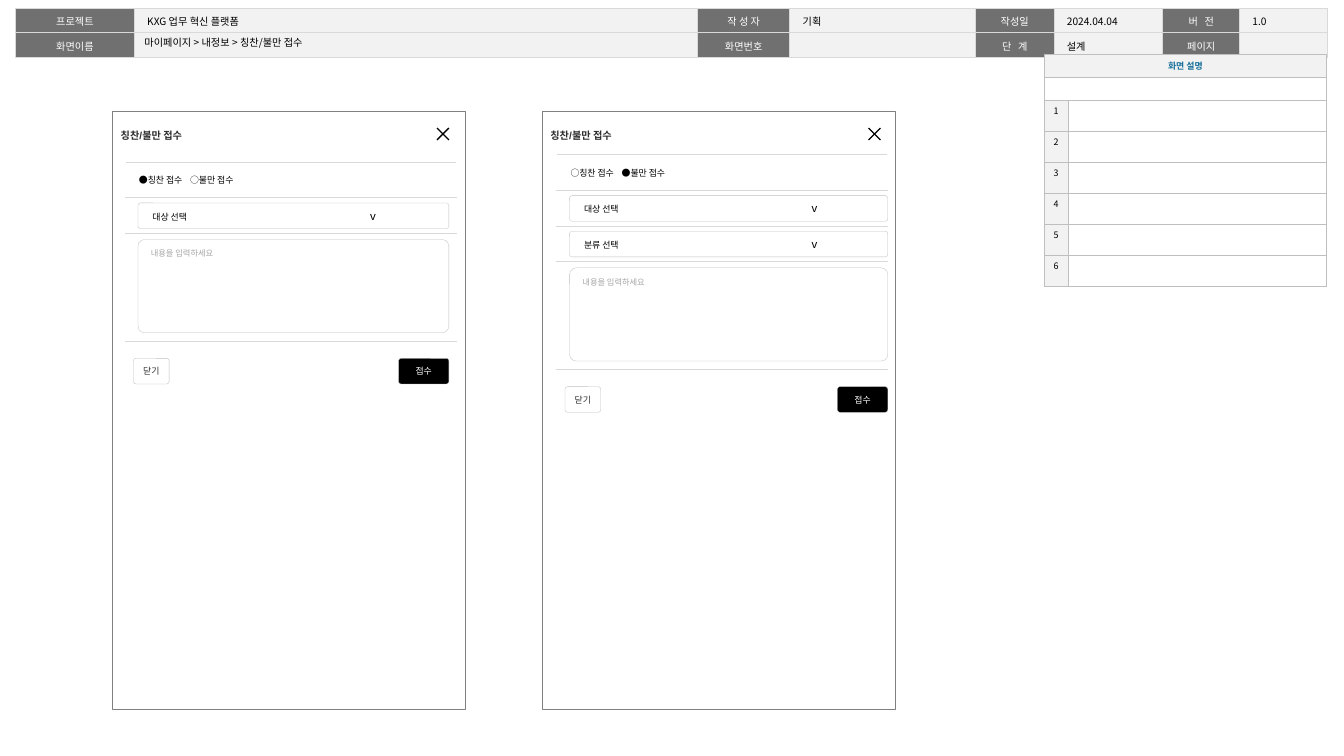
from itertools import accumulate
from lxml.etree import SubElement
from pptx import Presentation
from pptx.dml.color import RGBColor
from pptx.enum.shapes import MSO_CONNECTOR as CONN, MSO_SHAPE as SHAPE
from pptx.enum.text import MSO_ANCHOR as ANCHOR, MSO_AUTO_SIZE as AUTO, PP_ALIGN as AL
from pptx.oxml.ns import qn
from pptx.util import Inches, Pt

NOTO, ARIAL = "Noto Sans CJK KR", "Arial"
SLIDE_W, SLIDE_H = 14.7, 8.27
TITLE = "마이페이지 > 내정보 > 칭찬/불만 접수"
HEADER = [
    ["프로젝트", "KXG 업무 혁신 플랫폼", "작 성 자", "기획", "작성일", "2024.04.04", "버 전", "1.0"],
    ["화면이름", "", "화면번호", "", "단 계", "설계", "페이지", ""],
]
HEADER_COLS = [1.3, 6.16, 1.01, 2.03, 0.86, 1.19, 0.84, 0.96]
WIDE_LABELS = {"버 전", "단 계"}
NOTES_TITLE, NOTES_COUNT = "화면 설명", 6
PANEL_TITLE, HINT, CLOSE, SUBMIT = "칭찬/불만 접수", "내용을 입력하세요", "닫기", "접수"
PANELS = [
    dict(x=1.23, form=(1.37, 1.77), radio="●칭찬 접수\t○불만 접수",
         selects=["대상 선택"], field_w=3.4, arrow=2.38),
    dict(x=5.93, form=(6.09, 1.69), radio="○칭찬 접수\t●불만 접수",
         selects=["대상 선택", "분류 선택"], field_w=3.48, arrow=2.49),
]
PANEL_Y, PANEL_W, PANEL_H = 1.22, 3.86, 6.54
FORM_W, ROW_H, MEMO_ROW_H = 3.62, 0.39, 1.18
FIELD_H, MEMO_H, FIELD_DX, CROSS = 0.28, 1.02, 0.14, 0.13
GRID, EDGE = ("D9D9D9", 1), ("D9D9D9", 0.25)
NOTE_EDGE, WHITE_EDGE = ("BFBFBF", 0.25), ("FFFFFF", 1)

prs = Presentation()
prs.slide_width, prs.slide_height = Inches(SLIDE_W), Inches(SLIDE_H)
s = prs.slides.add_slide(prs.slide_layouts[5])


def rgb(code):
    return RGBColor.from_string(code)


def box(x, y, w, h):
    return [Inches(v) for v in (x, y, w, h)]


def frame(target, ins, anchor=ANCHOR.TOP):
    fmt = dict(zip(("margin_left", "margin_top", "margin_right", "margin_bottom"), map(Inches, ins)))
    for key, value in {**fmt, "vertical_anchor": anchor}.items():
        setattr(target, key, value)


def write(tf, runs, font=ARIAL, color="000000", bold=False, align=AL.LEFT, spacing=None, tab=None):
    p = tf.paragraphs[0]
    p.alignment = align
    if spacing:
        p.line_spacing = spacing
    if tab:
        tabs = SubElement(p._p.get_or_add_pPr(), qn("a:tabLst"))
        SubElement(tabs, qn("a:tab"), pos=str(Inches(tab)), algn="l")
    for text, size in runs:
        if not text:
            p._p.get_or_add_endParaRPr().set("sz", str(int(size * 100)))
            continue
        r = p.add_run()
        r.text = text
        for key, value in dict(name=font, size=Pt(size), bold=bold).items():
            setattr(r.font, key, value)
        r.font.color.rgb = rgb(color)
        SubElement(r._r.get_or_add_rPr(), qn("a:ea"), typeface=NOTO)
        if text in WIDE_LABELS:
            r._r.get_or_add_rPr().set("spc", "175")


def table(x, y, cols, rows):
    tb = s.shapes.add_table(len(rows), len(cols), *box(x, y, sum(cols), sum(rows))).table
    tb.first_row = tb.horz_banding = False
    for items, key, sizes in ((tb.columns, "width", cols), (tb.rows, "height", rows)):
        for item, size in zip(items, sizes):
            setattr(item, key, Inches(size))
    return tb


def fill_cell(cell, text, size, fill, ins, borders, anchor=ANCHOR.TOP, **style):
    frame(cell, ins, anchor)
    tcPr = cell._tc.get_or_add_tcPr()
    for side, (color, width) in zip("LRTB", borders):
        ln = SubElement(tcPr, qn(f"a:ln{side}"), w=str(Pt(width)))
        SubElement(SubElement(ln, qn("a:solidFill")), qn("a:srgbClr"), val=color)
    cell.fill.solid()
    cell.fill.fore_color.rgb = rgb(fill)
    write(cell.text_frame, [(text, size)], **style)


def shape(kind, place, line, width, fill=None, adj=None):
    sp = s.shapes.add_shape(kind, *box(*place))
    sp.shadow.inherit = False
    sp.line.color.rgb, sp.line.width = rgb(line), Pt(width)
    if fill:
        sp.fill.solid()
        sp.fill.fore_color.rgb = rgb(fill)
    else:
        sp.fill.background()
    if adj:
        sp.adjustments[0] = adj
    return sp


def field(place, runs, ins, anchor=ANCHOR.MIDDLE, fill="FFFFFF", adj=0.101, wrap=True, **style):
    tf = shape(SHAPE.ROUNDED_RECTANGLE, place, "BFBFBF", 0.25, fill, adj).text_frame
    tf.word_wrap = wrap
    frame(tf, ins, anchor)
    write(tf, runs, **style)


def cross(x, y):
    for y1, y2 in ((y, y + CROSS), (y + CROSS, y)):
        c = s.shapes.add_connector(CONN.STRAIGHT, *box(x, y1, x + CROSS, y2))
        c.line.color.rgb, c.line.width = rgb("000000"), Pt(1)
        SubElement(c._element.spPr, qn("a:effectLst"))


def header():
    tb = table(0.17, 0.09, HEADER_COLS, [0.24] * len(HEADER))
    for i, row in enumerate(HEADER):
        for j, text in enumerate(row):
            fill, color, align = (("F2F2F2", "000000", AL.LEFT) if j % 2
                                  else ("707070", "FFFFFF", AL.CENTER))
            fill_cell(tb.cell(i, j), text, 8, fill, (0.14, 0.05, 0.14, 0.05), [GRID] * 4,
                      font=NOTO, color=color, align=align, spacing=1.05)


def title():
    sp = s.shapes.title
    s.shapes._spTree.append(sp._element)
    sp.left, sp.top, sp.width, sp.height = box(1.47, 0.38, 3.85, 0.16)
    tf = sp.text_frame
    tf.word_wrap, tf.auto_size = True, AUTO.NONE
    frame(tf, (0.11, 0.05, 0.11, 0.05), ANCHOR.MIDDLE)
    write(tf, [(TITLE, 8)], font=NOTO)


def notes():
    tb = table(11.42, 0.59, [0.26, 2.83], [0.25] * 2 + [0.34] * NOTES_COUNT)
    labels = [NOTES_TITLE, ""] + [str(n + 1) for n in range(NOTES_COUNT)]
    for i, label in enumerate(labels):
        head = i == 0
        for j, text in enumerate((label, "")):
            fill = "F2F2F2" if head or (j == 0 and label) else "FFFFFF"
            fill_cell(tb.cell(i, j), text, 7, fill, (0.04, 0.05, 0.04, 0.05), [NOTE_EDGE] * 4,
                      ANCHOR.MIDDLE if head else ANCHOR.TOP, font=NOTO,
                      color="176F9B" if head else "000000", bold=head, align=AL.CENTER)
        if i < 2:
            tb.cell(i, 0).merge(tb.cell(i, 1))


def panel_title(x):
    tf = s.shapes.add_textbox(*box(x + 0.09, 1.3, 1.98, 0.28)).text_frame
    tf.word_wrap = True
    frame(tf, (0, 0.05, 0, 0.05))
    write(tf, [(PANEL_TITLE, 8)], color="2E2E2E", bold=True, spacing=1.5)


def form(panel):
    x, y = panel["form"]
    selects, width = panel["selects"], panel["field_w"]
    rows = [ROW_H] * (1 + len(selects)) + [MEMO_ROW_H]
    tops = [y + h for h in accumulate(rows, initial=0)]
    tb = table(x, y, [FORM_W], rows)
    for i in range(len(rows)):
        fill_cell(tb.cell(i, 0), "" if i else panel["radio"], 7, "FFFFFF", (0.15, 0.05, 0.08, 0.05),
                  [WHITE_EDGE, WHITE_EDGE, EDGE, EDGE], ANCHOR.MIDDLE, tab=None if i else 0.56)
    left = x + FIELD_DX
    for top, label in zip(tops[1:], selects):
        field((left, top + 0.06, width, FIELD_H), [(label + "\t", 7), ("v", 9)],
              (0.15, 0, 0.08, 0), tab=panel["arrow"])
    field((left, tops[-2] + 0.07, width, MEMO_H), [(HINT, 6.5)], (0.12, 0.08, 0.08, 0.08),
          ANCHOR.TOP, adj=0.071, color="A6A6A6")
    buttons = [(CLOSE, x + 0.09, 0.39, "FFFFFF", "2E2E2E"),
               (SUBMIT, left + width - 0.55, 0.55, "000000", "FFFFFF")]
    for label, bx, bw, fill, color in buttons:
        field((bx, tops[-1] + 0.19, bw, FIELD_H), [(label, 7)], (0.04, 0, 0.04, 0),
              fill=fill, color=color, wrap=False, align=AL.CENTER)


def main():
    header()
    for panel in PANELS:
        shape(SHAPE.RECTANGLE, (panel["x"], PANEL_Y, PANEL_W, PANEL_H), "808080", 0.5)
        cross(panel["form"][0] + 3.41, 1.4)
    title()
    notes()
    for panel in PANELS:
        panel_title(panel["x"])
        form(panel)
    prs.save("out.pptx")


if __name__ == "__main__":
    main()
